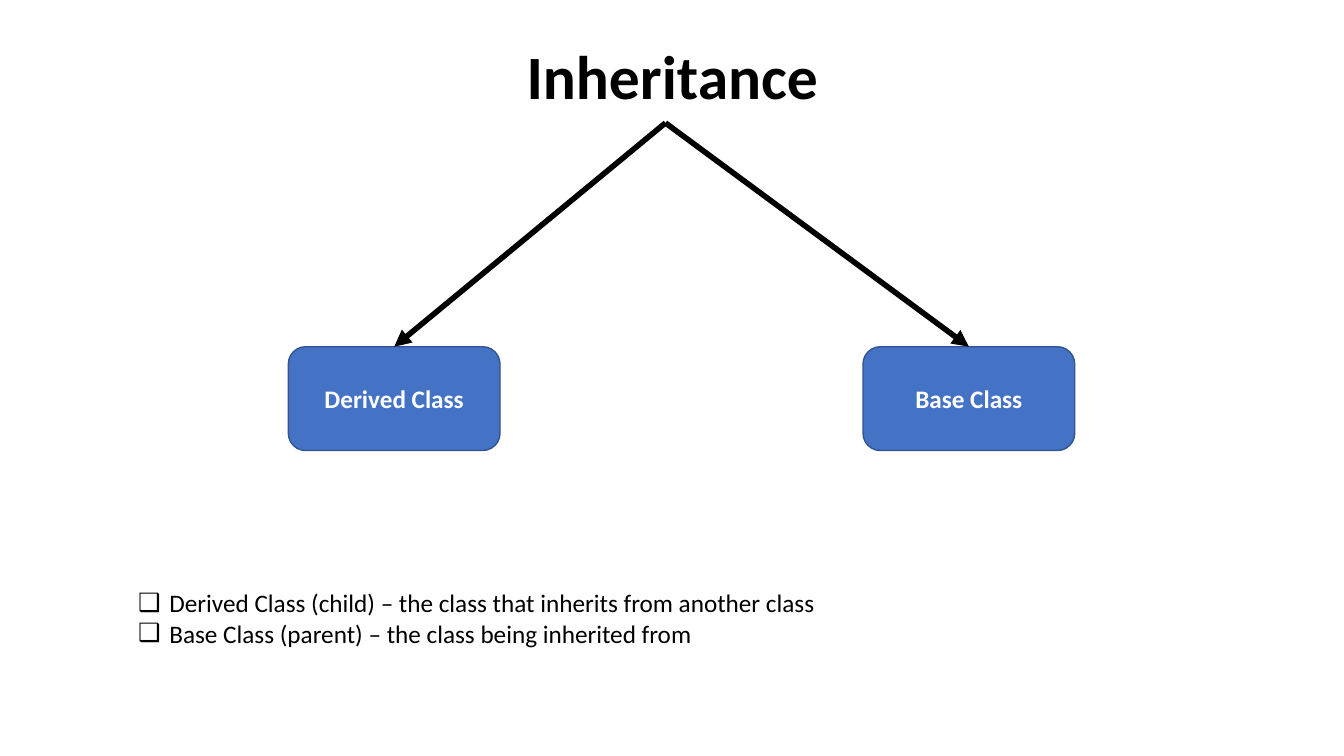
from lxml import etree
from pptx import Presentation
from pptx.dml.color import RGBColor
from pptx.enum import shapes, text
from pptx.oxml.ns import qn
from pptx.util import Inches, Pt

BLACK = RGBColor(0x00, 0x00, 0x00)
WHITE = RGBColor(0xFF, 0xFF, 0xFF)
BLUE = RGBColor(0x44, 0x72, 0xC4)
DARK_BLUE = RGBColor(0x32, 0x54, 0x91)

TITLE_FONT = {"name": "Calibri", "size": Pt(44), "bold": True}
CLASS_FONT = {"name": "Calibri", "size": Pt(18), "bold": True}
LIST_FONT = {"name": "Calibri", "size": Pt(18), "bold": False}


def write(paragraph, wording, font_format, color):
    run = paragraph.add_run()
    run.text = wording
    for attribute, value in font_format.items():
        setattr(run.font, attribute, value)
    run.font.color.rgb = color


def place(shape, box):
    shape.left, shape.top, shape.width, shape.height = map(Inches, box)


def add_bullet(paragraph, character, indent):
    properties = paragraph._p.get_or_add_pPr()
    properties.set("marL", str(Inches(indent)))
    properties.set("indent", str(-Inches(indent)))
    etree.SubElement(properties, qn("a:buFont")).set("typeface", "Calibri")
    etree.SubElement(properties, qn("a:buChar")).set("char", character)


def build_title(slide, box, wording):
    title = slide.shapes.title
    place(title, box)
    frame = title.text_frame
    frame.auto_size = text.MSO_AUTO_SIZE.NONE
    frame.vertical_anchor = text.MSO_ANCHOR.TOP
    frame.margin_top = Inches(0.06)
    paragraph = frame.paragraphs[0]
    paragraph.alignment = text.PP_ALIGN.CENTER
    paragraph.line_spacing = 0.9
    write(paragraph, wording, TITLE_FONT, BLACK)


def add_class_box(slide, box, wording):
    class_box = slide.shapes.add_shape(
        shapes.MSO_SHAPE.ROUNDED_RECTANGLE, *map(Inches, box))
    class_box.shadow.inherit = False
    class_box.fill.solid()
    class_box.fill.fore_color.rgb = BLUE
    class_box.line.color.rgb = DARK_BLUE
    class_box.line.width = Pt(1)
    frame = class_box.text_frame
    frame.vertical_anchor = text.MSO_ANCHOR.MIDDLE
    frame.paragraphs[0].alignment = text.PP_ALIGN.CENTER
    write(frame.paragraphs[0], wording, CLASS_FONT, WHITE)
    return class_box


def add_arrow(slide, start, target):
    x, y = map(Inches, start)
    arrow = slide.shapes.add_connector(shapes.MSO_CONNECTOR.STRAIGHT, x, y, x, y)
    arrow.end_connect(target, 0)
    arrow.line.color.rgb = BLACK
    arrow.line.width = Pt(4)
    etree.SubElement(arrow.line._get_or_add_ln(), qn("a:tailEnd")).set("type", "triangle")
    etree.SubElement(arrow._element.spPr, qn("a:effectLst"))


def build_diagram(slide, box, names):
    left, top, width, height = box
    box_width, box_height = 2.1, 1.03
    step = (width - box_width) / (len(names) - 1)
    box_top = top + height - box_height
    class_boxes = [
        add_class_box(slide, (left + i * step, box_top, box_width, box_height), name)
        for i, name in enumerate(names)]
    # Both arrows leave one point below the title
    for class_box in reversed(class_boxes):
        add_arrow(slide, (left + 3.74, top), class_box)


def build_definitions(slide, box, definitions):
    body = slide.placeholders[1]
    place(body, box)
    frame = body.text_frame
    frame.auto_size = text.MSO_AUTO_SIZE.NONE
    frame.vertical_anchor = text.MSO_ANCHOR.TOP
    for i, definition in enumerate(definitions):
        paragraph = frame.add_paragraph() if i else frame.paragraphs[0]
        add_bullet(paragraph, "❑", 0.31)
        paragraph.space_before = Pt(0)
        write(paragraph, definition, LIST_FONT, BLACK)


def main():
    presentation = Presentation()
    presentation.slide_width = Inches(13.33)
    presentation.slide_height = Inches(7.5)
    slide = presentation.slides.add_slide(presentation.slide_layouts[1])

    # Title
    build_title(slide, (0.92, 0.4, 11.5, 1.45), "Inheritance")
    # Class boxes and arrows
    build_diagram(slide, (2.86, 1.22, 7.8, 3.25), ["Derived Class", "Base Class"])
    # Definitions
    build_definitions(slide, (1.27, 5.78, 8.96, 1.01), [
        "Derived Class (child) – the class that inherits from another class",
        "Base Class (parent) – the class being inherited from",
    ])
    presentation.save("out.pptx")


if __name__ == "__main__":
    main()
